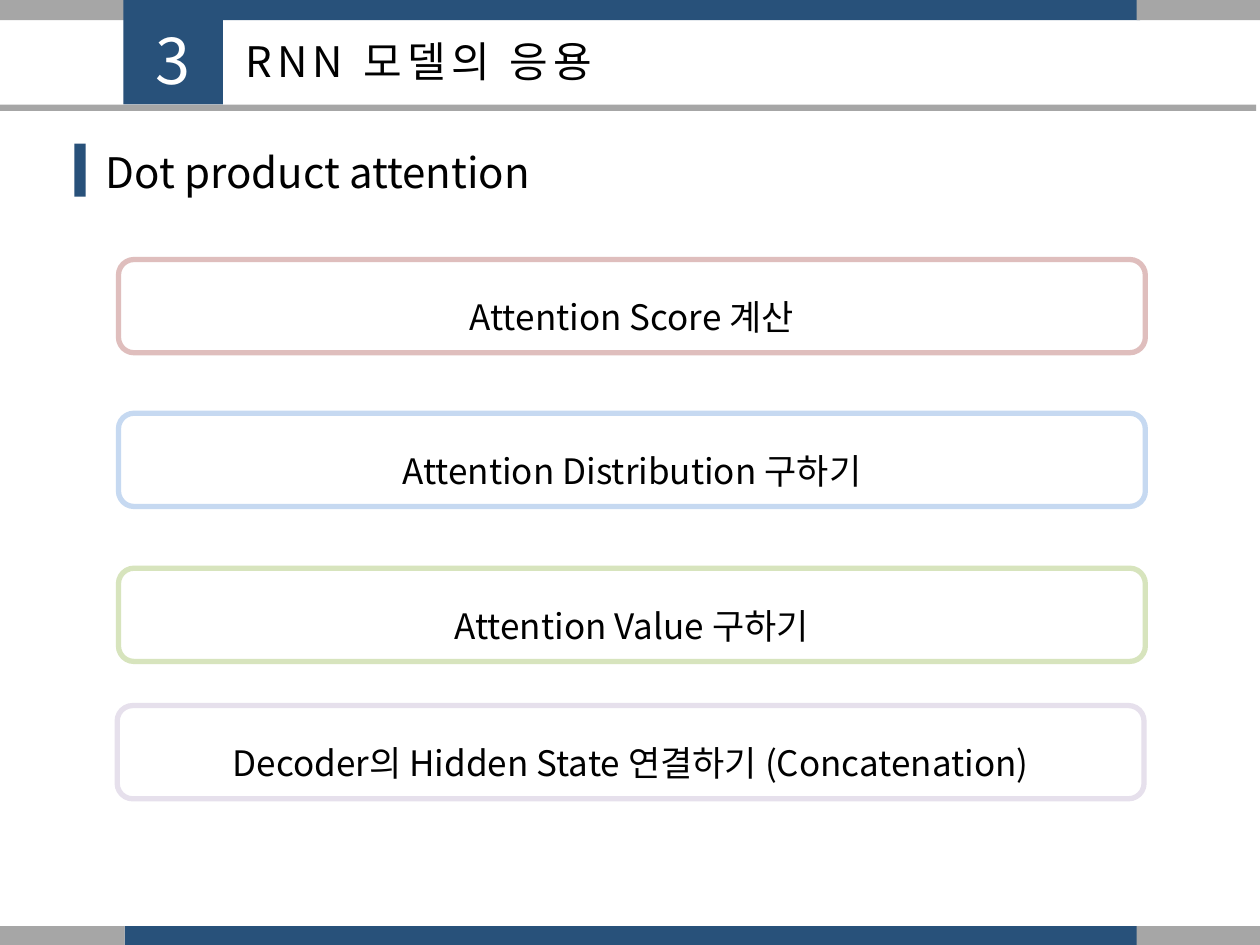
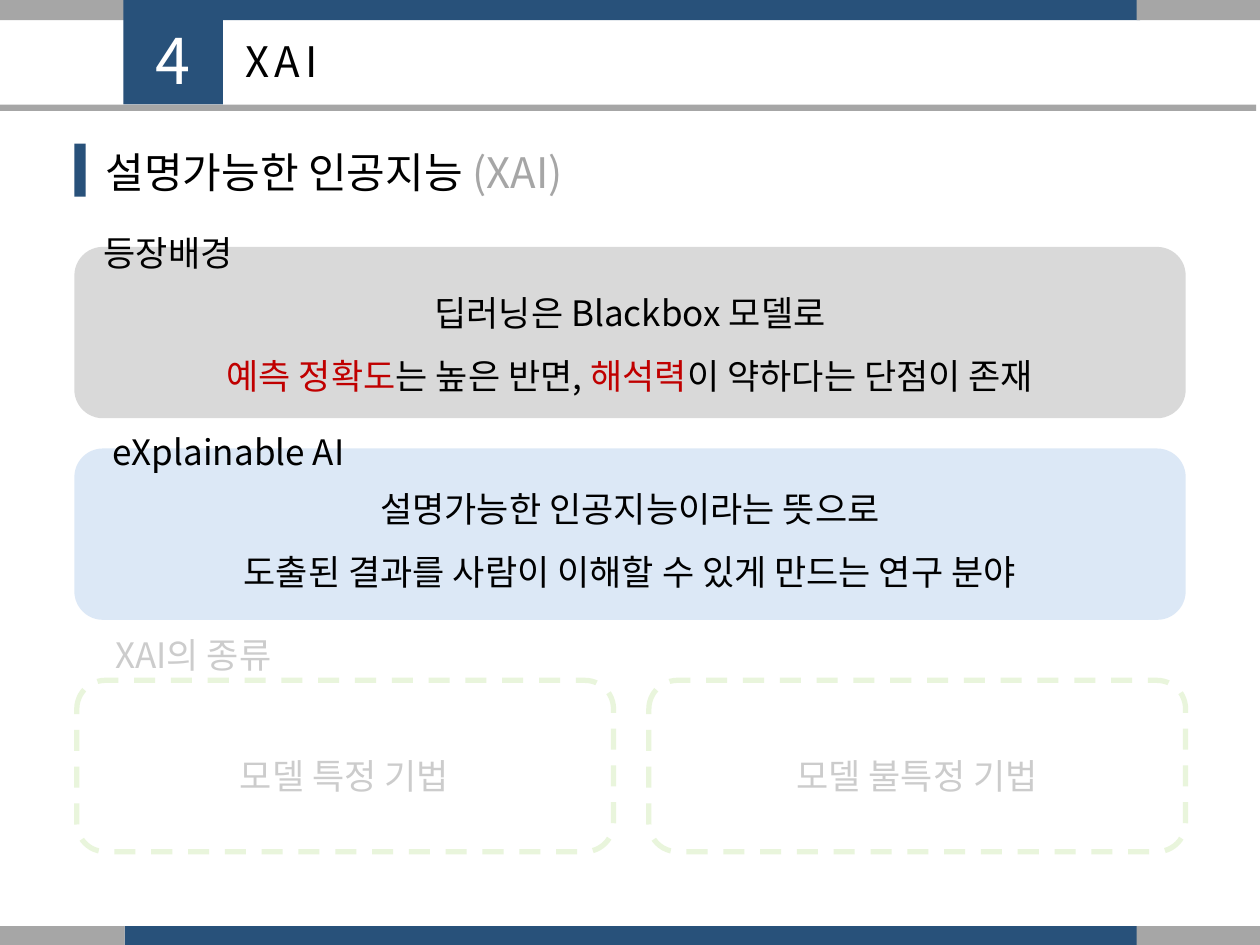
from dataclasses import dataclass
from lxml import etree
from pptx import Presentation
from pptx.dml.color import RGBColor
from pptx.enum.dml import MSO_LINE_DASH_STYLE as DASH
from pptx.enum.shapes import MSO_SHAPE as SHAPE
from pptx.enum.text import MSO_ANCHOR as ANCHOR, MSO_AUTO_SIZE as FIT, PP_ALIGN as ALIGN
from pptx.oxml.ns import qn
from pptx.util import Inches, Pt


@dataclass(frozen=True)
class Theme:
    font: str = "Noto Sans CJK KR"
    navy: str = "28517A"
    gray: str = "A6A6A6"
    pale_gray: str = "D9D9D9"
    pale_blue: str = "C6D9F1"
    pink: str = "DFBEBD"
    pale_green: str = "D7E4BD"
    lilac: str = "E6E0EC"
    green: str = "92D050"
    red: str = "C00000"
    black: str = "000000"
    white: str = "FFFFFF"
    number: int = 36
    title: int = 24
    body: int = 20
    outline: int = 3


T = Theme()
prs = Presentation()
prs.slide_width, prs.slide_height = Inches(10), Inches(7.5)
# The grid has 100 columns and 75 rows
COL, ROW = prs.slide_width / 100, prs.slide_height / 75


def add_box(s, x, y, w, h, fill=None, line=None, kind=SHAPE.RECTANGLE, alpha=None, dash=None):
    sp = s.shapes.add_shape(kind, round(x * COL), round(y * ROW), round(w * COL), round(h * ROW))
    sp.shadow.inherit = False
    if fill:
        sp.fill.solid()
        sp.fill.fore_color.rgb = RGBColor.from_string(fill)
        if alpha:
            clr = sp.fill._xPr.find(qn("a:solidFill"))[0]
            etree.SubElement(clr, qn("a:alpha")).set("val", str(alpha * 1000))
    else:
        sp.fill.background()
    if line:
        sp.line.color.rgb = RGBColor.from_string(line)
        sp.line.width = Pt(T.outline)
        if dash:
            sp.line.dash_style = dash
    else:
        sp.line.fill.background()


def add_text(s, x, y, w, h, paragraphs, size=T.body, align=ALIGN.CENTER, leading=1.5,
             color=T.black, spacing=None, anchor=ANCHOR.TOP):
    """Each paragraph is a list of (text, colour) runs; None takes the default colour."""
    sp = s.shapes.add_textbox(round(x * COL), round(y * ROW), round(w * COL), round(h * ROW))
    tf = sp.text_frame
    tf.word_wrap, tf.auto_size, tf.vertical_anchor = True, FIT.SHAPE_TO_FIT_TEXT, anchor
    for i, runs in enumerate(paragraphs):
        p = tf.add_paragraph() if i else tf.paragraphs[0]
        p.alignment, p.line_spacing = align, leading
        for text, run_color in runs:
            r = p.add_run()
            r.text = text
            r.font.size, r.font.name = Pt(size), T.font
            r.font.color.rgb = RGBColor.from_string(run_color or color)
            rPr = r._r.get_or_add_rPr()
            etree.SubElement(rPr, qn("a:ea")).set("typeface", T.font)
            if spacing:
                rPr.set("spc", str(spacing * 100))


# Frame shared by both slides: bands, number tab, title, heading
headers = [
    ("3", "RNN 모델의 응용", [("Dot product attention", None)]),
    ("4", "XAI", [("설명가능한 인공지능 ", None), ("(XAI)", T.gray)]),
]
slides = []
for number, title, heading in headers:
    s = prs.slides.add_slide(prs.slide_layouts[6])
    slides.append(s)
    for y in (0, 73.5):
        for x, w, color in ((9.9, 80.6, T.navy), (0, 9.9, T.gray), (90.2, 9.8, T.gray)):
            add_box(s, x, y, w, 1.6 if y == 0 else 1.5, color)
    add_box(s, 9.8, 0, 7.9, 8.3, T.navy)
    add_box(s, 0, 8.3, 99.7, 0.5, T.gray)
    add_text(s, 9.4, 1.2, 8.7, 7.1, [[(number, T.white)]], T.number, leading=1, spacing=3)
    add_text(s, 18.5, 2.3, 55.1, 5, [[(title, None)]], T.title, ALIGN.LEFT, 1, spacing=3)
    add_box(s, 5.9, 11.4, 0.9, 4.2, T.navy)
    add_text(s, 7.4, 11.1, 51.3, 5, [heading], T.title, ALIGN.LEFT, 1)

steps_slide, xai_slide = slides

# Slide 1: attention steps
steps = [
    (9.4, 20.6, T.pink, "Attention Score 계산"),
    (9.4, 32.8, T.pale_blue, "Attention Distribution 구하기"),
    (9.4, 45.1, T.pale_green, "Attention Value 구하기"),
    (9.3, 56, T.lilac, "Decoder의 Hidden State 연결하기 (Concatenation)"),
]
for x, y, color, step in steps:
    add_box(steps_slide, x, y, 81.5, 7.4, line=color, kind=SHAPE.ROUNDED_RECTANGLE)
    add_text(steps_slide, x + 6.1, y + 0.9, 69.3, 5.6, [[(step, None)]], anchor=ANCHOR.MIDDLE)

# Slide 2: background and definition panels
panels = [
    (19.6, T.pale_gray, None, (5.2, 16.2, 16.3, "등장배경"), 21, [
        [("딥러닝은 Blackbox 모델로", None)],
        [("예측 정확도", T.red), ("는 높은 반면, ", None), ("해석력", T.red),
         ("이 약하다는 단점이 존재", None)],
    ]),
    (35.6, T.pale_blue, 60, (7.5, 32, 21.3, "eXplainable AI"), 36.5, [
        [("설명가능한 인공지능이라는 뜻으로", None)],
        [("도출된 결과를 사람이 이해할 수 있게 만드는 연구 분야", None)],
    ]),
]
for y, color, alpha, (label_x, label_y, label_w, label), text_y, lines in panels:
    add_box(xai_slide, 5.9, y, 88.2, 13.6, color, kind=SHAPE.ROUNDED_RECTANGLE, alpha=alpha)
    add_text(xai_slide, label_x, label_y, label_w, 5.6, [[(label, None)]])
    add_text(xai_slide, 13.4, text_y, 73.2, 10.6, lines)

# Slide 2: kinds of XAI, dimmed by a translucent veil
add_text(xai_slide, 7.5, 48.1, 15.7, 5.6, [[("XAI의 종류", None)]])
for x, text_x, text_w, method in ((6.1, 14.7, 25.3, "모델 특정 기법"),
                                  (51.5, 61.3, 23, "모델 불특정 기법")):
    add_box(xai_slide, x, 54, 42.6, 13.6, line=T.green, kind=SHAPE.ROUNDED_RECTANGLE,
            dash=DASH.DASH)
    add_text(xai_slide, text_x, 57.7, text_w, 5.6, [[(method, None)]])
add_box(xai_slide, 0, 49.5, 100, 22.6, T.white, alpha=80)

prs.save("out.pptx")
